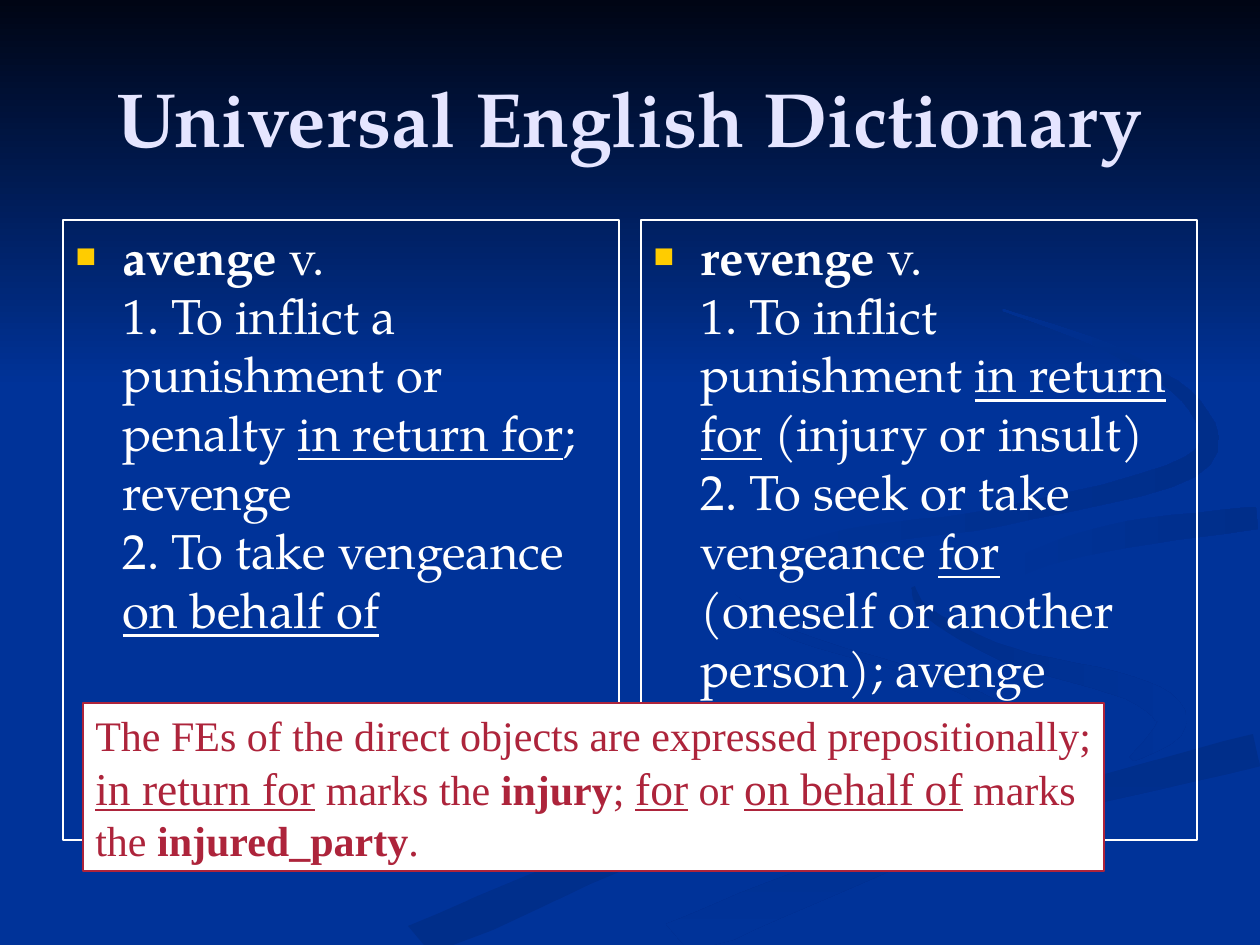
from dataclasses import dataclass
from enum import Enum
from math import hypot

from lxml.etree import SubElement
from pptx import Presentation
from pptx.dml.color import RGBColor
from pptx.enum.text import MSO_ANCHOR as Anchor, MSO_AUTO_SIZE as AutoSize, PP_ALIGN as Align
from pptx.oxml.ns import qn
from pptx.util import Pt

EMU_PER_PX = 914400 / 126
SLIDE_WIDTH, SLIDE_HEIGHT = 1260, 945
SKY_HEIGHT = 388
MARGIN, COLUMN_WIDTH, COLUMN_GAP = 63, 556, 22
COLUMN_TOP, COLUMN_HEIGHT = 220, 620
BULLET_INDENT = 47
STEPS_PER_KNOT = 6
ACROSS, UPWARD, DOWNWARD = 0, 90, 270


@dataclass(frozen=True)
class Theme:
    background: str = "003399"
    night: str = "000514"
    shade: str = "002E8A"
    title: str = "E5E5FF"
    body: str = "FFFFFF"
    bullet: str = "FFCC00"
    accent: str = "AD243B"
    serif: str = "TeX Gyre Pagella"
    note_font: str = "Times New Roman"
    title_size: int = 44
    body_size: int = 28
    note_size: int = 24
    marker_size: int = 26
    border: float = 0.75


THEME = Theme()


class Style(Enum):
    PLAIN = "plain"
    BOLD = "bold"
    UNDERLINED = "underlined"
    MARKER = "marker"


PLAIN, BOLD, UNDERLINED, MARKER = Style

TITLE = "Universal English Dictionary"
DEFINITIONS = [
    [("avenge", BOLD), (" v.\n1. To inflict a punishment or penalty ", PLAIN),
     ("in return for", UNDERLINED), ("; revenge\n2. To take vengeance ", PLAIN),
     ("on behalf of", UNDERLINED)],
    [("revenge", BOLD), (" v.\n1. To inflict punishment ", PLAIN),
     ("in return for", UNDERLINED),
     (" (injury or insult)\n2. To seek or take vengeance ", PLAIN),
     ("for", UNDERLINED), (" (oneself or another person); avenge", PLAIN)],
]
NOTE = [
    [("The FEs of the direct objects are expressed prepositionally;", PLAIN)],
    [("in return for", MARKER), (" marks the ", PLAIN), ("injury", BOLD), ("; ", PLAIN),
     ("for", MARKER), (" or ", PLAIN), ("on", MARKER), (" ", UNDERLINED),
     ("behalf", MARKER), (" ", UNDERLINED), ("of", MARKER), (" marks", PLAIN)],
    [("the ", PLAIN), ("injured_party", BOLD), (".", PLAIN)],
]


@dataclass(frozen=True)
class Ribbon:
    knots: tuple  # (x, y, half width) along the middle of the ribbon
    colors: tuple
    angle: int = ACROSS


DARK_TO_BASE = (THEME.shade, THEME.background)
BASE_TO_DARK = (THEME.background, THEME.shade)
PLAIN_BASE = (THEME.background, THEME.background)

MAIN_RIBBON = Ribbon(((1258, 498, 9), (1050, 528, 11), (950, 580, 30), (1050, 645, 18),
                      (1215, 710, 25), (1000, 800, 10), (620, 944, 16)), PLAIN_BASE)
LEFT_RIBBON = Ribbon(((721, 588, 3), (793, 635, 4), (950, 684, 4), (998, 725, 10),
                      (920, 770, 12), (680, 832, 14), (416, 944, 20)),
                     DARK_TO_BASE, UPWARD)
INNER_CURL = Ribbon(((913, 587, 2), (930, 614, 5), (1010, 656, 8), (1130, 688, 12),
                     (1172, 722, 15), (1132, 759, 3)), DARK_TO_BASE)
LOWER_RIBBON = Ribbon(((675, 944, 22), (800, 890, 18), (1000, 817, 12), (1257, 750, 17)),
                      DARK_TO_BASE, DOWNWARD)
RIGHT_BRANCH = Ribbon(((1257, 518, 11), (1130, 534, 13), (1045, 556, 10), (1000, 585, 8),
                       (1038, 624, 1)), BASE_TO_DARK)
UPPER_LOOP = Ribbon(((1003, 310, 1), (1110, 349, 4), (1195, 406, 7), (1190, 467, 11),
                     (1000, 517, 9), (850, 539, 10), (722, 585, 13), (778, 629, 1)),
                    BASE_TO_DARK)
RIBBONS = (MAIN_RIBBON, LEFT_RIBBON, INNER_CURL, LOWER_RIBBON, RIGHT_BRANCH, UPPER_LOOP)


def px(value):
    return round(value * EMU_PER_PX)


def rgb(code):
    return RGBColor.from_string(code)


def place(shape, box):
    shape.left, shape.top, shape.width, shape.height = map(px, box)


def spline(before, start, end, after, t):
    return (start + (end - before) * t / 2
            + (2 * before - 5 * start + 4 * end - after) * t ** 2 / 2
            + (3 * start - before - 3 * end + after) * t ** 3 / 2)


def smooth(knots):
    padded = (knots[0], *knots, knots[-1])
    curve = [tuple(spline(*values, step / STEPS_PER_KNOT) for values in zip(*window))
             for window in zip(padded, padded[1:], padded[2:], padded[3:])
             for step in range(STEPS_PER_KNOT)]
    return curve + [knots[-1]]


def clamp(x, y):
    return min(max(round(x), 0), SLIDE_WIDTH), min(max(round(y), 0), SLIDE_HEIGHT)


def ribbon_outline(knots):
    curve = smooth(knots)
    left_edge, right_edge = [], []
    for before, (x, y, half), after in zip(curve[:1] + curve, curve, curve[1:] + curve[-1:]):
        along_x, along_y = after[0] - before[0], after[1] - before[1]
        length = hypot(along_x, along_y)
        offset_x, offset_y = -along_y * half / length, along_x * half / length
        left_edge.append(clamp(x + offset_x, y + offset_y))
        right_edge.append(clamp(x - offset_x, y - offset_y))
    return left_edge + right_edge[::-1]


def add_gradient_outline(slide, points, colors, angle):
    builder = slide.shapes.build_freeform(*points[0], scale=EMU_PER_PX)
    builder.add_line_segments(points[1:], close=True)
    shape = builder.convert_to_shape()
    shape.shadow.inherit = False
    shape.line.fill.background()
    shape.fill.gradient()
    shape.fill.gradient_angle = angle
    for stop, color in zip(shape.fill.gradient_stops, colors):
        stop.color.rgb = rgb(color)


def add_backdrop(slide):
    slide.background.fill.solid()
    slide.background.fill.fore_color.rgb = rgb(THEME.background)
    sky = [(0, 0), (0, SKY_HEIGHT), (SLIDE_WIDTH, SKY_HEIGHT), (SLIDE_WIDTH, 0)]
    add_gradient_outline(slide, sky, (THEME.night, THEME.background), DOWNWARD)
    for ribbon in RIBBONS:
        add_gradient_outline(slide, ribbon_outline(ribbon.knots), ribbon.colors, ribbon.angle)


def add_run(paragraph, text, style, font_name, size, color):
    for index, line in enumerate(text.split("\n")):
        if index:
            paragraph.add_line_break()
        run = paragraph.add_run()
        run.text = line
        font = run.font
        font.name, font.size = font_name, Pt(size)
        font.color.rgb = rgb(color)
        font.bold = style is BOLD
        font.underline = style in (UNDERLINED, MARKER)


def set_border(shape, color):
    shape.line.color.rgb = rgb(color)
    shape.line.width = Pt(THEME.border)


def set_bullet(paragraph):
    properties = paragraph._p.get_or_add_pPr()
    properties.set("marL", str(px(BULLET_INDENT)))
    properties.set("indent", str(-px(BULLET_INDENT)))
    color = SubElement(properties, qn("a:buClr"))
    SubElement(color, qn("a:srgbClr"), val=THEME.bullet)
    SubElement(properties, qn("a:buSzPct"), val="70000")
    SubElement(properties, qn("a:buChar"), char="■")


def fill_title(shape):
    place(shape, (MARGIN, 38, SLIDE_WIDTH - 2 * MARGIN, 158))
    frame = shape.text_frame
    frame.auto_size, frame.vertical_anchor = AutoSize.NONE, Anchor.MIDDLE
    paragraph = frame.paragraphs[0]
    paragraph.alignment = Align.CENTER
    add_run(paragraph, TITLE, BOLD, THEME.serif, THEME.title_size, THEME.title)


def fill_definition(shape, column, runs):
    left = MARGIN + column * (COLUMN_WIDTH + COLUMN_GAP)
    place(shape, (left, COLUMN_TOP, COLUMN_WIDTH, COLUMN_HEIGHT))
    set_border(shape, THEME.body)
    frame = shape.text_frame
    frame.auto_size, frame.vertical_anchor = AutoSize.NONE, Anchor.TOP
    paragraph = frame.paragraphs[0]
    paragraph.space_before = Pt(7)
    set_bullet(paragraph)
    for text, style in runs:
        add_run(paragraph, text, style, THEME.serif, THEME.body_size, THEME.body)


def add_note(slide):
    shape = slide.shapes.add_textbox(*map(px, (83, 703, 1021, 168)))
    shape.fill.solid()
    shape.fill.fore_color.rgb = rgb(THEME.body)
    set_border(shape, THEME.accent)
    frame = shape.text_frame
    frame.word_wrap, frame.auto_size = False, AutoSize.SHAPE_TO_FIT_TEXT
    for index, runs in enumerate(NOTE):
        paragraph = frame.add_paragraph() if index else frame.paragraphs[0]
        for text, style in runs:
            size = THEME.marker_size if style is MARKER else THEME.note_size
            add_run(paragraph, text, style, THEME.note_font, size, THEME.accent)


def main():
    presentation = Presentation()
    presentation.slide_width, presentation.slide_height = px(SLIDE_WIDTH), px(SLIDE_HEIGHT)
    two_content = presentation.slide_layouts.get_by_name("Two Content")
    slide = presentation.slides.add_slide(two_content)
    title, *columns = slide.placeholders
    add_backdrop(slide)
    fill_title(title)
    for column, (shape, runs) in enumerate(zip(columns, DEFINITIONS)):
        fill_definition(shape, column, runs)
    for shape in (title, *columns):
        slide.shapes._spTree.append(shape._element)
    add_note(slide)
    presentation.save("out.pptx")


if __name__ == "__main__":
    main()
